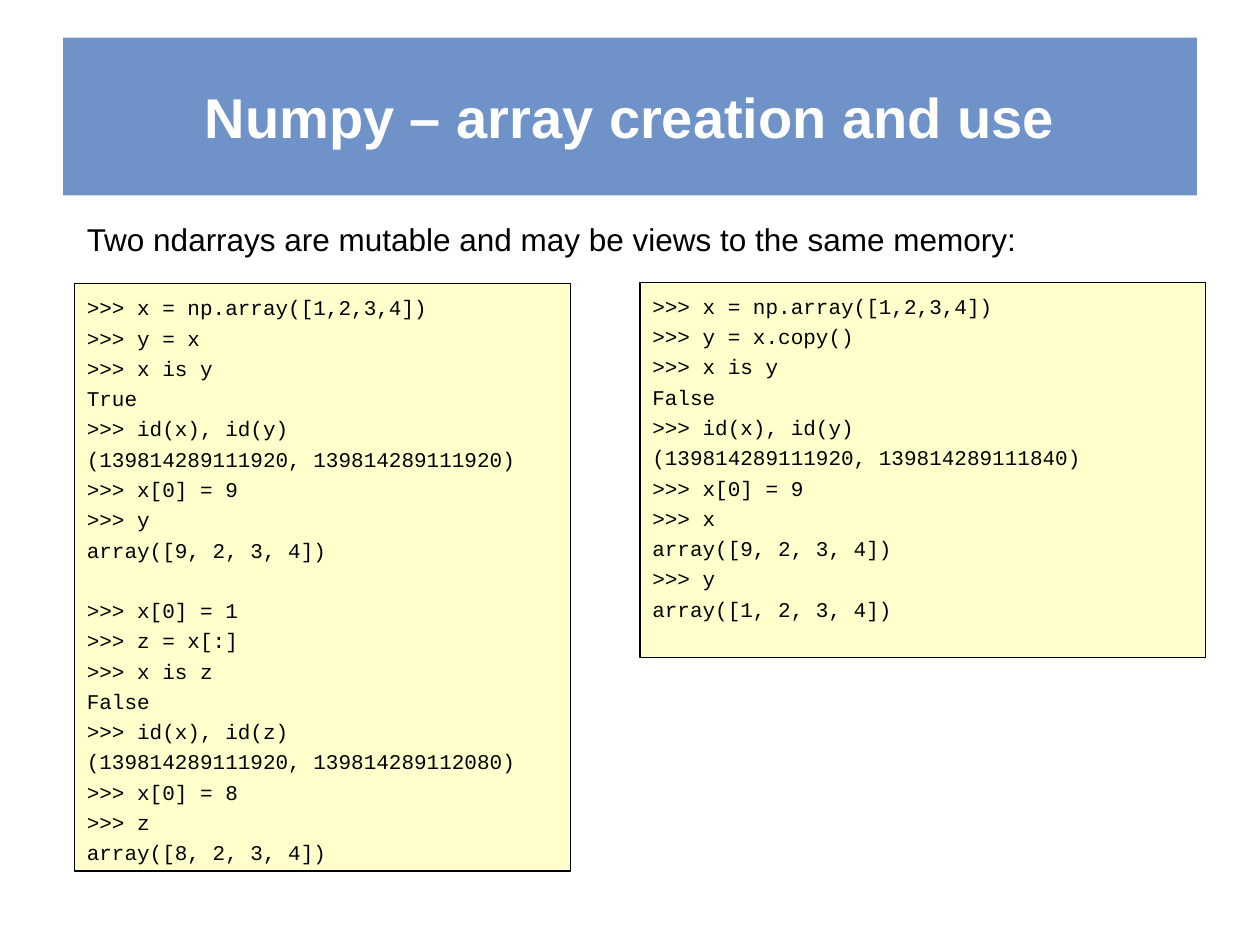
from lxml import etree
from pptx import Presentation
from pptx import util as u
from pptx.dml.color import RGBColor
from pptx.enum import shapes, text
from pptx.oxml.ns import qn

BLUE = RGBColor(0x47, 0x75, 0xB9)
CREAM = RGBColor(0xFF, 0xFF, 0xCC)
BLACK = RGBColor(0, 0, 0)
WHITE = RGBColor(0xFF, 0xFF, 0xFF)
CODE_SIZE = 12
CODE_PITCH = u.Pt(CODE_SIZE * 1.44)

SHARED_CODE = """>>> x = np.array([1,2,3,4])
>>> y = x
>>> x is y
True
>>> id(x), id(y)
(139814289111920, 139814289111920)
>>> x[0] = 9
>>> y
array([9, 2, 3, 4])"""
VIEW_CODE = """>>> x[0] = 1
>>> z = x[:]
>>> x is z
False
>>> id(x), id(z)
(139814289111920, 139814289112080)
>>> x[0] = 8
>>> z
array([8, 2, 3, 4])"""
COPY_CODE = """>>> x = np.array([1,2,3,4])
>>> y = x.copy()
>>> x is y
False
>>> id(x), id(y)
(139814289111920, 139814289111840)
>>> x[0] = 9
>>> x
array([9, 2, 3, 4])
>>> y
array([1, 2, 3, 4])"""


def to_cm(box):
    return [u.Cm(length) for length in box]


def style_font(paragraph, name, size, color, bold=False):
    for run in paragraph.runs:
        run.font.name = name
        run.font.size = u.Pt(size)
        run.font.color.rgb = color
        run.font.bold = bold


def place_title(slide, box, wording):
    title = slide.shapes.title
    title.left, title.top, title.width, title.height = to_cm(box)
    title.fill.solid()
    title.fill.fore_color.rgb = BLUE
    color = title.fill._xPr.find(".//" + qn("a:srgbClr"))
    etree.SubElement(color, qn("a:alpha"), val="78000")
    frame = title.text_frame
    frame.text = wording
    frame.auto_size = text.MSO_AUTO_SIZE.NONE
    frame.vertical_anchor = text.MSO_ANCHOR.MIDDLE
    paragraph = frame.paragraphs[0]
    paragraph.alignment = text.PP_ALIGN.CENTER
    style_font(paragraph, "Arial", 32, WHITE, bold=True)


def add_statement(slide, box, wording):
    frame = slide.shapes.add_textbox(*to_cm(box)).text_frame
    frame.word_wrap = True
    frame.text = wording
    paragraph = frame.paragraphs[0]
    paragraph.line_spacing = u.Pt(21.6)
    style_font(paragraph, "Arial", 18, BLACK)


def add_code_panel(slide, box, blocks):
    panel = slide.shapes.add_shape(shapes.MSO_SHAPE.RECTANGLE, *to_cm(box))
    panel.shadow.inherit = False
    panel.fill.solid()
    panel.fill.fore_color.rgb = CREAM
    panel.line.color.rgb = BLACK
    panel.line.width = u.Pt(0.75)
    frame = panel.text_frame
    frame.word_wrap = True
    frame.vertical_anchor = text.MSO_ANCHOR.TOP
    frame.text = "\n".join(blocks)
    for paragraph in frame.paragraphs:
        paragraph.alignment = text.PP_ALIGN.LEFT
        paragraph.line_spacing = CODE_PITCH
        style_font(paragraph, "Courier New", CODE_SIZE, BLACK)
    first_line = 0
    for block in blocks[:-1]:
        first_line += len(block.splitlines())
        frame.paragraphs[first_line].space_before = CODE_PITCH


def main():
    presentation = Presentation()
    presentation.slide_width = u.Cm(25.4)
    presentation.slide_height = u.Cm(19.05)
    slide = presentation.slides.add_slide(presentation.slide_layouts[5])
    place_title(slide, (1.27, 0.76, 22.86, 3.18), "Numpy – array creation and use")
    add_code_panel(slide, (1.5, 5.72, 10, 11.84), [SHARED_CODE, VIEW_CODE])
    add_statement(slide, (1.5, 4.32, 22.6, 1.02),
                  "Two ndarrays are mutable and may be views to the same memory:")
    add_code_panel(slide, (12.9, 5.69, 11.4, 7.57), [COPY_CODE])
    presentation.save("out.pptx")


if __name__ == "__main__":
    main()
